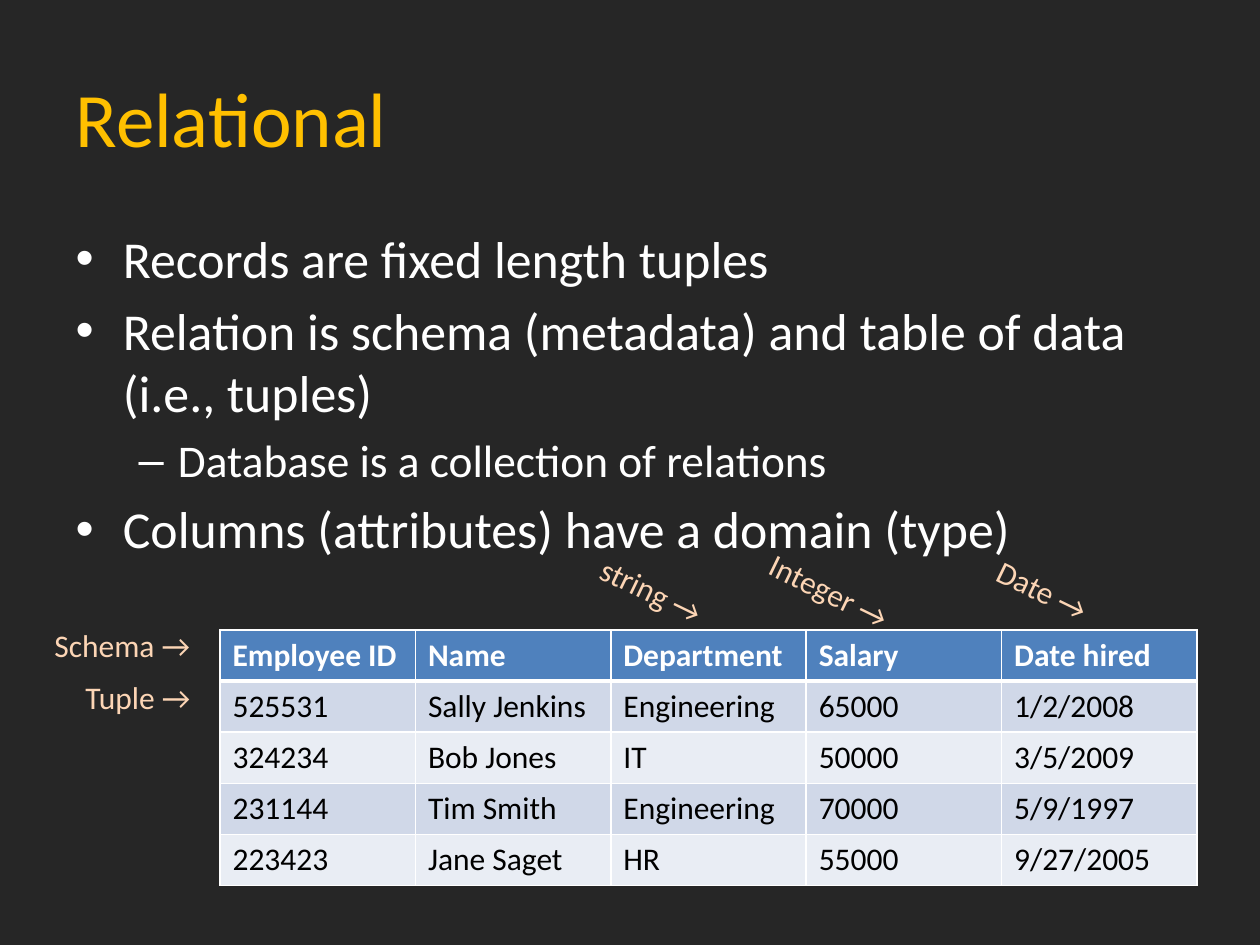
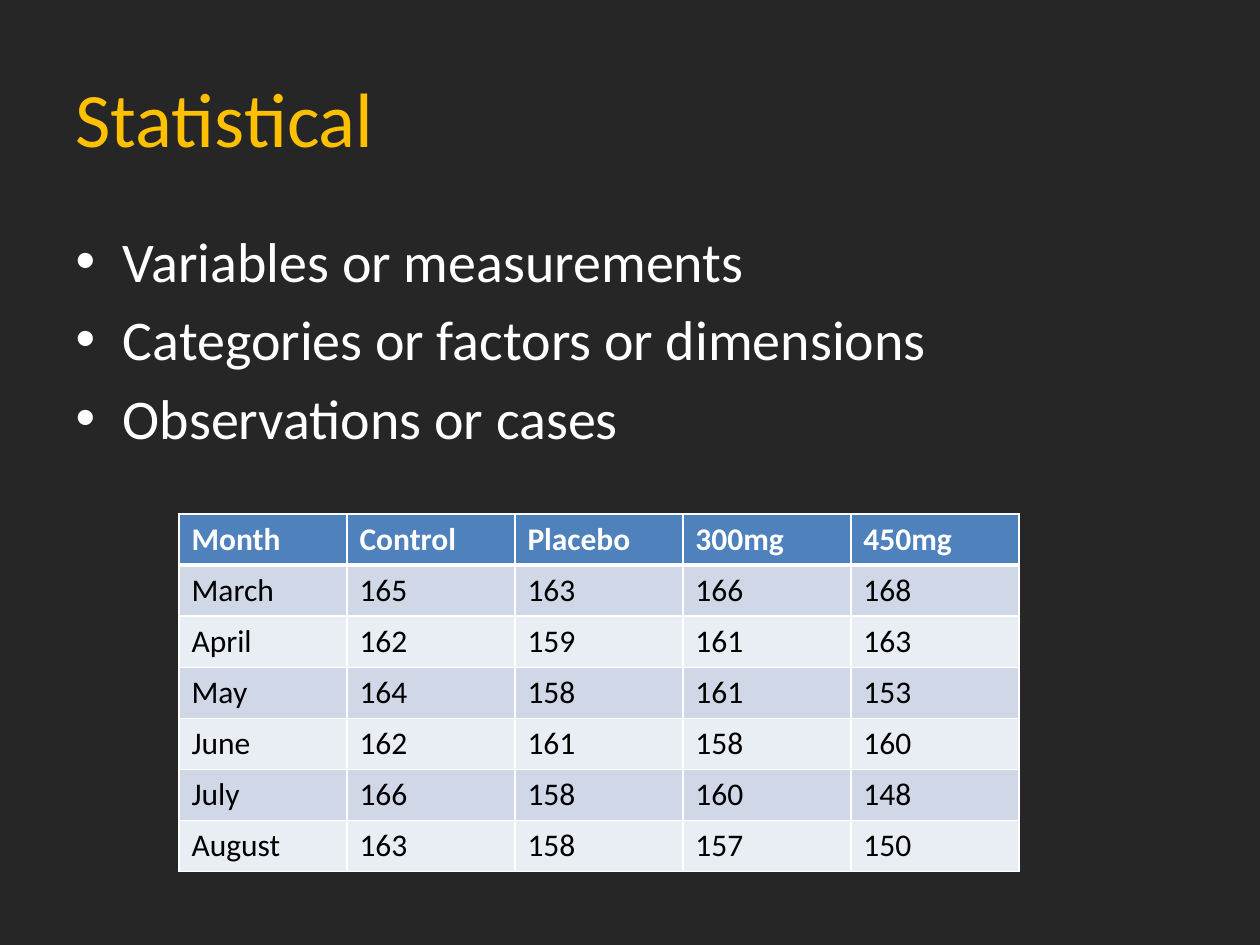
from lxml.etree import SubElement
from pptx import Presentation
from pptx.dml.color import RGBColor
from pptx.enum.text import MSO_ANCHOR, MSO_AUTO_SIZE, PP_ALIGN
from pptx.oxml.ns import qn
from pptx.util import Emu, Pt

# Shared look
BACKGROUND = RGBColor(0x26, 0x26, 0x26)
GOLD = RGBColor(0xFF, 0xC0, 0x00)
WHITE = RGBColor(0xFF, 0xFF, 0xFF)
BLACK = RGBColor(0x00, 0x00, 0x00)
PEACH = RGBColor(0xFC, 0xD5, 0xB5)
HEADER_BLUE = RGBColor(0x4F, 0x81, 0xBD)
BANDS = (RGBColor(0xD0, 0xD8, 0xE8), RGBColor(0xE9, 0xED, 0xF4))
FONT = "Calibri"
PX_PER_INCH = 126
ROW_HEIGHT = 51
LABEL_HEIGHT = 51
LABEL_TILT = 25.9

# Slide content
EMPLOYEES = [
    ("Employee ID", "Name", "Department", "Salary", "Date hired"),
    ("525531", "Sally Jenkins", "Engineering", "65000", "1/2/2008"),
    ("324234", "Bob Jones", "IT", "50000", "3/5/2009"),
    ("231144", "Tim Smith", "Engineering", "70000", "5/9/1997"),
    ("223423", "Jane Saget", "HR", "55000", "9/27/2005"),
]
TRIAL = [
    ("Month", "Control", "Placebo", "300mg", "450mg"),
    ("March", "165", "163", "166", "168"),
    ("April", "162", "159", "161", "163"),
    ("May", "164", "158", "161", "153"),
    ("June", "162", "161", "158", "160"),
    ("July", "166", "158", "160", "148"),
    ("August", "163", "158", "157", "150"),
]
RELATIONAL_POINTS = [
    (0, "Records are fixed length tuples"),
    (0, "Relation is schema (metadata) and table of data (i.e., tuples)"),
    (1, "Database is a collection of relations"),
    (0, "Columns (attributes) have a domain (type)"),
]
STATISTICAL_POINTS = [
    (0, "Variables or measurements"),
    (0, "Categories or factors or dimensions"),
    (0, "Observations or cases"),
]
# Row and column labels: text, left, top, width, rotation
TABLE_LABELS = [
    ("Tuple →", 73, 672, 134, 0),
    ("Schema →", 42, 620, 165, 0),
    ("string →", 585, 566, 136, LABEL_TILT),
    ("Integer →", 753, 566, 155, LABEL_TILT),
    ("Date →", 982, 566, 125, LABEL_TILT),
]


def px(length):
    return Emu(round(length * 914400 / PX_PER_INCH))


def place(shape, left, top, width, height):
    shape.left, shape.top = px(left), px(top)
    shape.width, shape.height = px(width), px(height)


def add_span(para, text, size, color, bold=False):
    span = para.add_run()
    span.text = text
    span.font.name = FONT
    span.font.size = Pt(size)
    span.font.bold = bold
    span.font.color.rgb = color


def add_page(deck, title):
    page = deck.slides.add_slide(deck.slide_layouts[1])
    box = page.shapes.title
    place(box, 63, 38, 1134, 157)
    box.text_frame.auto_size = MSO_AUTO_SIZE.NONE
    box.text_frame.vertical_anchor = MSO_ANCHOR.MIDDLE
    para = box.text_frame.paragraphs[0]
    para.alignment = PP_ALIGN.LEFT
    add_span(para, title, 44, GOLD)
    return page


def fill_body(page, points, height, sizes):
    """Write (level, text) points; sizes holds one font size per level."""
    box = page.placeholders[1]
    place(box, 63, 220, 1134, height)
    frame = box.text_frame
    frame.auto_size = MSO_AUTO_SIZE.NONE
    for index, (level, text) in enumerate(points):
        para = frame.add_paragraph() if index else frame.paragraphs[0]
        para.level = level
        add_span(para, text, sizes[level], WHITE)


def add_border(cell, side, points):
    line = SubElement(cell._tc.get_or_add_tcPr(), qn(f"a:ln{side}"), w=str(Pt(points)))
    fill = SubElement(line, qn("a:solidFill"))
    SubElement(fill, qn("a:srgbClr"), val=str(WHITE))


def style_cell(cell, row, text):
    is_header = row == 0
    rules = {"L": 1, "R": 1, "T": 3 if row == 1 else 1, "B": 3 if is_header else 1}
    for side, points in rules.items():
        add_border(cell, side, points)
    cell.fill.solid()
    cell.fill.fore_color.rgb = HEADER_BLUE if is_header else BANDS[(row - 1) % 2]
    color = WHITE if is_header else BLACK
    add_span(cell.text_frame.paragraphs[0], text, 18, color, is_header)


def add_data_table(page, records, left, top, width):
    rows, columns = len(records), len(records[0])
    table = page.shapes.add_table(
        rows, columns, px(left), px(top), px(width), px(rows * ROW_HEIGHT)
    ).table
    for row, record in enumerate(records):
        for column, text in enumerate(record):
            style_cell(table.cell(row, column), row, text)


def add_label(page, text, left, top, width, rotation):
    box = page.shapes.add_textbox(px(left), px(top), px(width), px(LABEL_HEIGHT))
    box.rotation = rotation
    box.text_frame.word_wrap = False
    box.text_frame.auto_size = MSO_AUTO_SIZE.SHAPE_TO_FIT_TEXT
    add_span(box.text_frame.paragraphs[0], text, 18, PEACH)


def main():
    deck = Presentation()
    deck.slide_width, deck.slide_height = px(1260), px(945)
    background = deck.slide_master.background.fill
    background.solid()
    background.fore_color.rgb = BACKGROUND

    # Relational data
    page = add_page(deck, "Relational")
    fill_body(page, RELATIONAL_POINTS, 336, (29.6, 25.9))
    add_data_table(page, EMPLOYEES, 220, 630, 977)
    for label in TABLE_LABELS:
        add_label(page, *label)

    # Statistical data
    page = add_page(deck, "Statistical")
    fill_body(page, STATISTICAL_POINTS, 624, (32,))
    add_data_table(page, TRIAL, 179, 514, 840)

    deck.save("out.pptx")


if __name__ == "__main__":
    main()
